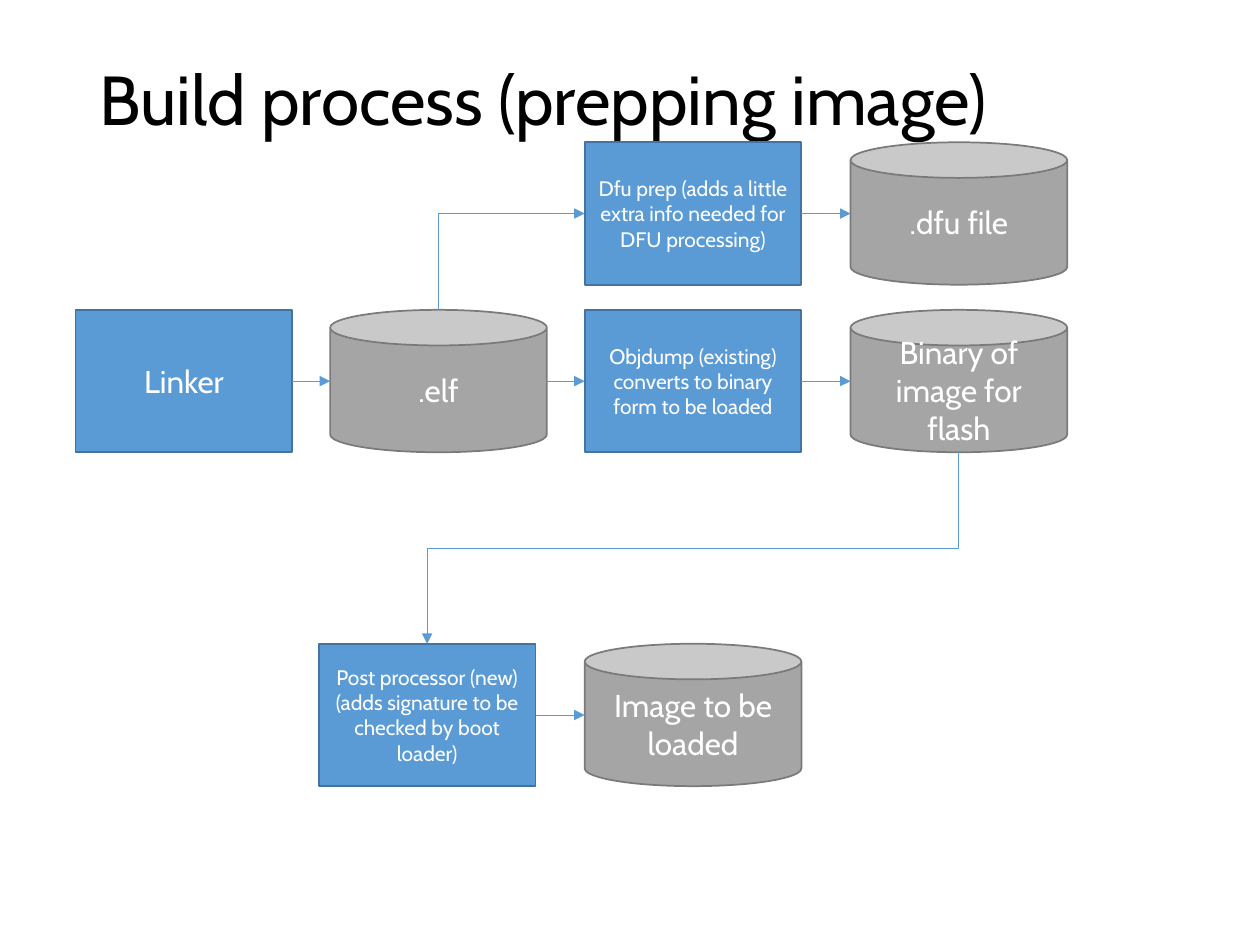
from pptx import Presentation
from pptx.dml.color import RGBColor
from pptx.enum import shapes, text
from pptx.oxml import ns
from pptx.util import Inches, Pt
from lxml import etree


def hue(code):
    return RGBColor.from_string(code)


def link(kind, x1, y1, x2, y2):
    line = slide.shapes.add_connector(kind, x1, y1, x2, y2)
    line.line.width = Pt(0.5)
    line.line.color.rgb = hue("5B9BD5")
    etree.SubElement(line.line._get_or_add_ln(), ns.qn("a:tailEnd"), type="triangle")
    etree.SubElement(line._element.spPr, ns.qn("a:effectLst"))
    return line


deck = Presentation()
deck.slide_width, deck.slide_height = Inches(10), Inches(7.5)
slide = deck.slides.add_slide(deck.slide_layouts[6])

title = slide.shapes.add_textbox(Inches(0.69), Inches(0.4), Inches(8.62), Inches(0.84))
frame = title.text_frame
for key, value in {"word_wrap": True, "vertical_anchor": text.MSO_ANCHOR.MIDDLE,
                   "text": "Build process (prepping image)"}.items():
    setattr(frame, key, value)
para = frame.paragraphs[0]
para.line_spacing = 0.9
for key, value in {"name": "Cabin", "size": Pt(39.6)}.items():
    setattr(para.font, key, value)
para.font.color.rgb = hue("000000")

forms = {
    "step": (shapes.MSO_SHAPE.RECTANGLE, "5B9BD5", "43739E"),
    "file": (shapes.MSO_SHAPE.CAN, "A5A5A5", "7A7A7A"),
}
wide, high = Inches(1.72), Inches(1.13)
top, mid, low = 1.13, 2.46, 5.11
nodes = [
    ("linker", "step", 0.6, mid, 18, "Linker"),
    ("dump", "step", 4.64, mid, 12, "Objdump (existing) converts to binary form to be loaded"),
    ("flash", "file", 6.75, mid, 18, "Binary of image for flash"),
    ("elf", "file", 2.62, mid, 18, ".elf"),
    ("post", "step", 2.53, low, 12,
     "Post processor (new) (adds signature to be checked by boot loader)"),
    ("image", "file", 4.64, low, 18, "Image to be loaded"),
    ("prep", "step", 4.64, top, 12,
     "Dfu prep (adds a little extra info needed for DFU processing)"),
    ("dfu", "file", 6.75, top, 18, ".dfu file"),
]
boxes = {}
for name, kind, x, y, size, words in nodes:
    form, fill, edge = forms[kind]
    box = slide.shapes.add_shape(form, Inches(x), Inches(y), wide, high)
    box.shadow.inherit = False
    box.fill.solid()
    box.fill.fore_color.rgb = hue(fill)
    box.line.color.rgb = hue(edge)
    box.line.width = Pt(1)
    frame = box.text_frame
    for key, value in {"word_wrap": True, "vertical_anchor": text.MSO_ANCHOR.MIDDLE,
                       "text": words}.items():
        setattr(frame, key, value)
    para = frame.paragraphs[0]
    para.alignment = text.PP_ALIGN.CENTER
    for key, value in {"name": "Cabin", "size": Pt(size)}.items():
        setattr(para.font, key, value)
    para.font.color.rgb = hue("FFFFFF")
    boxes[name] = box

pairs = [("linker", "elf"), ("elf", "dump"), ("dump", "flash"),
         ("prep", "dfu"), ("post", "image")]
steps = [node[0] for node in nodes if node[1] == "step"]
for start, end in pairs:
    one, two = boxes[start], boxes[end]
    y = one.top + high // 2
    line = link(shapes.MSO_CONNECTOR.STRAIGHT, one.left + wide, y, two.left, y)
    if start in steps:
        line.begin_connect(one, 3)
    if end in steps:
        line.end_connect(two, 1)

elf, prep, flash, post = (boxes[name] for name in ("elf", "prep", "flash", "post"))
half = wide // 2
bends = [
    (flash.left + half, flash.top + high, post.left + half, post.top, "bentConnector3"),
    (elf.left + half, elf.top, prep.left, prep.top + high // 2, "bentConnector2"),
]
for x1, y1, x2, y2, bend in bends:
    cx, cy = (x1 + x2) // 2, (y1 + y2) // 2
    dx, dy = x1 - cx, y1 - cy
    line = link(shapes.MSO_CONNECTOR.ELBOW, cx + dy, cy - dx, cx - dy, cy + dx)
    line._element.spPr.find(ns.qn("a:xfrm")).set("rot", "5400000")
    line._element.spPr.find(ns.qn("a:prstGeom")).set("prst", bend)

deck.save("out.pptx")
